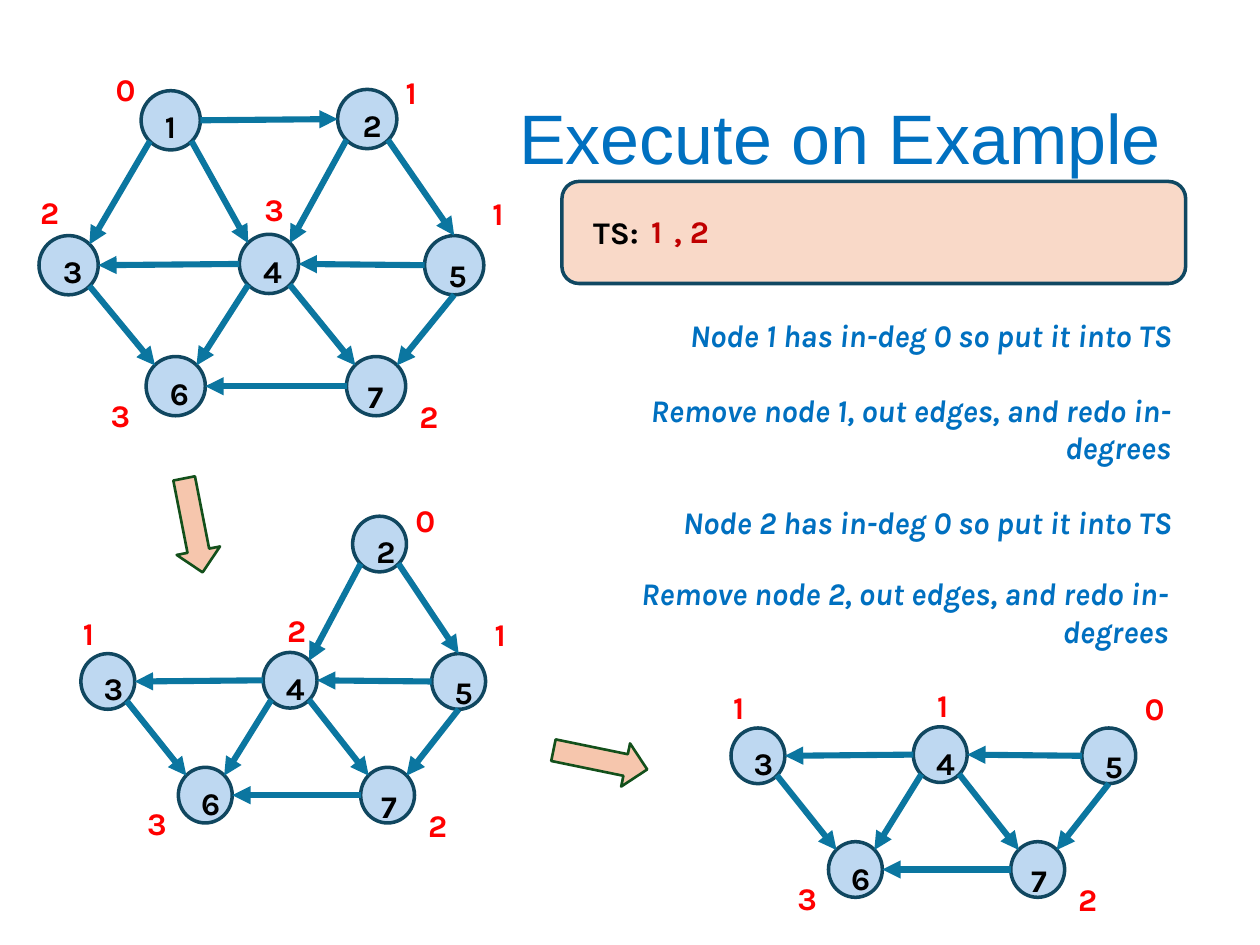
from typing import NamedTuple

from lxml.etree import SubElement
from pptx import Presentation
from pptx.dml.color import RGBColor
from pptx.enum.shapes import MSO_CONNECTOR, MSO_SHAPE
from pptx.enum.text import MSO_ANCHOR, PP_ALIGN
from pptx.oxml.ns import qn
from pptx.util import Inches, Pt

BLUE = RGBColor(0x00, 0x70, 0xC0)
BLACK = RGBColor(0x00, 0x00, 0x00)
RED = RGBColor(0xFF, 0x00, 0x00)
DARK_RED = RGBColor(0xC0, 0x00, 0x00)
EDGE = RGBColor(0x0B, 0x76, 0xA0)
NODE_FILL = RGBColor(0x71, 0xAA, 0xE0)
NODE_LINE = RGBColor(0x10, 0x47, 0x60)
PANEL_FILL = RGBColor(0xF2, 0xAA, 0x84)
PANEL_LINE = RGBColor(0x10, 0x48, 0x62)
ARROW_FILL = RGBColor(0xF6, 0xC6, 0xAD)
ARROW_LINE = RGBColor(0x13, 0x50, 0x1B)

NODE_SIZE = 0.47


class Node(NamedTuple):
    x: float
    y: float
    number_offset: tuple
    degree_offset: tuple


NODES = {
    1: Node(1.12, 0.72, (0.09, 0.08), (-0.30, -0.21)),
    2: Node(2.68, 0.71, (0.10, 0.08), (0.44, -0.18)),
    3: Node(0.31, 1.87, (0.09, 0.08), (-0.09, -0.39)),
    4: Node(1.90, 1.86, (0.09, 0.09), (0.10, -0.40)),
    5: Node(3.37, 1.87, (0.09, 0.11), (0.44, -0.38)),
    6: Node(1.16, 2.83, (0.09, 0.09), (-0.38, 0.26)),
    7: Node(2.75, 2.83, (0.07, 0.11), (0.48, 0.27)),
}

# Points on a node's rim, as fractions of its width and height
RIM = {
    "top": (0.5, 0), "left": (0, 0.5), "bottom": (0.5, 1), "right": (1, 0.5),
    "top left": (0.15, 0.15), "top right": (0.85, 0.15),
    "bottom left": (0.15, 0.85), "bottom right": (0.85, 0.85),
}

EDGES = [
    (1, "right", 2, "left"),
    (1, "bottom left", 3, "top right"),
    (1, "bottom right", 4, "top left"),
    (2, "bottom left", 4, "top right"),
    (2, "bottom right", 5, "top"),
    (4, "left", 3, "right"),
    (5, "left", 4, "right"),
    (3, "bottom right", 6, "top left"),
    (4, "bottom left", 6, "top right"),
    (4, "bottom right", 7, "top left"),
    (5, "bottom", 7, "top right"),
    (7, "left", 6, "right"),
]


def add_text(shapes, text, x, y, w, h, color, size=18, font="Karla",
             bold=True, italic=False, align=PP_ALIGN.LEFT):
    tf = shapes.add_textbox(Inches(x), Inches(y), Inches(w), Inches(h)).text_frame
    tf.word_wrap = True
    p = tf.paragraphs[0]
    p.text = text
    p.alignment = align
    f = p.runs[0].font
    f.name, f.size, f.bold, f.italic = font, Pt(size), bold, italic
    f.color.rgb = color
    return tf


def add_shape(shapes, kind, x, y, w, h, fill, line, width, opacity=100):
    sp = shapes.add_shape(kind, Inches(x), Inches(y), Inches(w), Inches(h))
    sp.shadow.inherit = False
    sp.fill.solid()
    sp.fill.fore_color.rgb = fill
    if opacity < 100:
        color = sp.fill._xPr.find(qn("a:solidFill"))[0]
        SubElement(color, qn("a:alpha"), val=str(opacity * 1000))
    sp.line.color.rgb = line
    sp.line.width = Pt(width)
    return sp


def add_edge(shapes, start, end):
    points = [Inches(v) for v in (*start, *end)]
    c = shapes.add_connector(MSO_CONNECTOR.STRAIGHT, *points)
    c.line.color.rgb = EDGE
    c.line.width = Pt(3.5)
    SubElement(c.line._get_or_add_ln(), qn("a:tailEnd"), type="triangle")
    SubElement(c._element.spPr, qn("a:effectLst"))


def add_graph(s, removed=(), origin=(0, 0), scale=(1, 1)):
    """Draw the graph without the removed nodes, with each in-degree in red."""
    shapes = s.shapes.add_group_shape().shapes
    nodes = {n: node for n, node in NODES.items() if n not in removed}
    edges = [e for e in EDGES if e[0] in nodes and e[2] in nodes]

    def place(x, y):
        return origin[0] + x * scale[0], origin[1] + y * scale[1]

    def rim(n, side):
        fx, fy = RIM[side]
        return place(nodes[n].x + fx * NODE_SIZE, nodes[n].y + fy * NODE_SIZE)

    w, h = NODE_SIZE * scale[0], NODE_SIZE * scale[1]
    for n, node in nodes.items():
        add_shape(shapes, MSO_SHAPE.OVAL, *place(node.x, node.y), w, h,
                  NODE_FILL, NODE_LINE, 2, opacity=45)
        in_degree = sum(e[2] == n for e in edges)
        for value, (dx, dy), color in ((n, node.number_offset, BLACK),
                                       (in_degree, node.degree_offset, RED)):
            add_text(shapes, str(value), *place(node.x + dx, node.y + dy),
                     0.41 * scale[0], 0.4, color)
    for start, start_side, end, end_side in edges:
        add_edge(shapes, rim(start, start_side), rim(end, end_side))


def add_step_arrow(s, x, y, rotation):
    sp = add_shape(s.shapes, MSO_SHAPE.DOWN_ARROW, x, y, 0.35, 0.76,
                   ARROW_FILL, ARROW_LINE, 1.5)
    sp.rotation = rotation


def add_steps(s):
    for text, x, y, w, h in (
        ("Node 1 has in-deg 0 so put it into TS", 4.49, 2.46, 4.91, 0.4),
        ("Remove node 1, out edges, and redo in-degrees", 4.61, 3.05, 4.78, 0.71),
        ("Node 2 has in-deg 0 so put it into TS", 4.49, 3.94, 4.91, 0.4),
        ("Remove node 2, out edges, and redo in-degrees", 4.59, 4.51, 4.78, 0.71),
    ):
        add_text(s.shapes, text, x, y, w, h, BLUE, italic=True,
                 align=PP_ALIGN.RIGHT)


def add_sorted_panel(s):
    add_shape(s.shapes, MSO_SHAPE.ROUNDED_RECTANGLE, 4.46, 1.44, 4.95, 0.81,
              PANEL_FILL, PANEL_LINE, 2, opacity=44)
    add_text(s.shapes, "TS:", 4.61, 1.64, 0.58, 0.4, BLACK)
    add_text(s.shapes, "1", 5.07, 1.63, 0.38, 0.4, DARK_RED)
    add_text(s.shapes, ", 2", 5.25, 1.63, 0.55, 0.4, DARK_RED)


def main():
    prs = Presentation()
    prs.slide_width, prs.slide_height = Inches(10), Inches(7.5)
    s = prs.slides.add_slide(prs.slide_layouts[6])

    title = add_text(s.shapes, "Execute on Example", 0.69, 0.4, 8.62, 1.45, BLUE,
                     size=40, font="Arial", bold=False, align=PP_ALIGN.RIGHT)
    title.vertical_anchor = MSO_ANCHOR.MIDDLE
    title.paragraphs[0].line_spacing = 0.9

    small = (0.91, 0.94)
    add_graph(s)
    add_graph(s, removed=(1,), origin=(0.36, 3.43), scale=small)
    add_graph(s, removed=(1, 2), origin=(5.52, 4.02), scale=small)
    add_step_arrow(s, 1.36, 3.79, 348.9)
    add_step_arrow(s, 4.59, 5.65, 281.6)
    add_steps(s)
    add_sorted_panel(s)
    prs.save("out.pptx")


if __name__ == "__main__":
    main()
